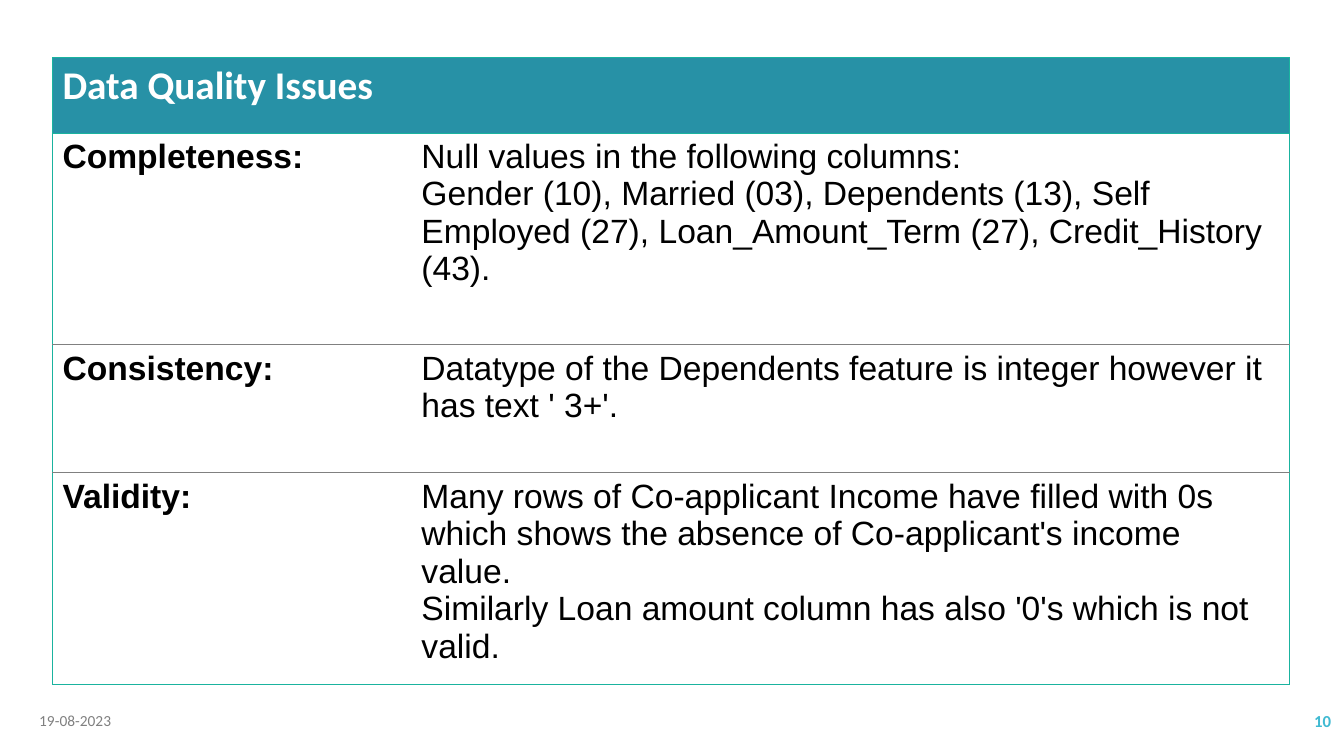
from dataclasses import dataclass

from lxml.etree import SubElement
from pptx import Presentation
from pptx.dml.color import RGBColor
from pptx.enum.text import MSO_ANCHOR as Anchor, PP_ALIGN as Align
from pptx.oxml.ns import qn
from pptx.slide import Slide
from pptx.table import Table, _Cell as Cell
from pptx.text.text import TextFrame
from pptx.util import Inches, Pt

TEAL = "1AB39F"
HEADER_FILL = "2791A6"
RULE_GREY = "808080"
COLUMN_WIDTHS = (3.56, 8.71)


@dataclass(frozen=True)
class TextStyle:
    font: str
    size: int
    color: str
    bold: bool = False
    align: Align = Align.LEFT


@dataclass(frozen=True)
class Issue:
    label: str
    details: str
    height: float


@dataclass(frozen=True)
class Footer:
    text: str
    left: float
    width: float
    style: TextStyle


HEADER_STYLE = TextStyle("Calibri", 28, "FFFFFF", bold=True)
LABEL_STYLE = TextStyle("Arial", 24, "000000", bold=True)
DETAIL_STYLE = TextStyle("Arial", 24, "000000")

ISSUES = (
    Issue("Data Quality Issues", "", 0.75),
    Issue(
        "Completeness:",
        "Null values in the following columns:\n"
        "Gender (10), Married (03), Dependents (13), Self Employed (27), "
        "Loan_Amount_Term (27), Credit_History (43).",
        2.1,
    ),
    Issue(
        "Consistency:",
        "Datatype of the Dependents feature is integer however it has text ' 3+'.",
        1.27,
    ),
    Issue(
        "Validity:",
        "Many rows of Co-applicant Income have filled with 0s which shows "
        "the absence of Co-applicant's income value.\n"
        "Similarly Loan amount column has also '0's which is not valid.",
        2.1,
    ),
)

FOOTERS = (
    Footer("19-08-2023", 0.29, 3, TextStyle("Calibri", 11, "808080")),
    Footer("10", 11.63, 1.67, TextStyle("Calibri", 12, "40BAD2", True, Align.RIGHT)),
)


def rgb(color: str) -> RGBColor:
    return RGBColor.from_string(color)


def write_text(frame: TextFrame, text: str, style: TextStyle) -> None:
    frame.text = text
    for para in frame.paragraphs:
        para.alignment = style.align
        para.font.name = style.font
        para.font.size = Pt(style.size)
        para.font.bold = style.bold
        para.font.color.rgb = rgb(style.color)


def set_border(cell: Cell, side: str, color: str | None) -> None:
    properties = cell._tc.get_or_add_tcPr()
    line = SubElement(properties, qn(f"a:ln{side}"), w=str(Pt(0.75)))
    if color is None:
        SubElement(line, qn("a:noFill"))
    else:
        fill = SubElement(line, qn("a:solidFill"))
        SubElement(fill, qn("a:srgbClr"), val=color)


def style_cell(table: Table, row: int, column: int) -> None:
    cell = table.cell(row, column)
    last_row = len(ISSUES) - 1
    inner_top = TEAL if row <= 1 else RULE_GREY
    inner_bottom = TEAL if row in (0, last_row) else RULE_GREY
    set_border(cell, "L", TEAL if column == 0 else None)
    set_border(cell, "R", TEAL if column == 1 else None)
    set_border(cell, "T", inner_top)
    set_border(cell, "B", inner_bottom)
    if row == 0:
        cell.fill.solid()
        cell.fill.fore_color.rgb = rgb(HEADER_FILL)
    else:
        cell.fill.background()


def add_issue_table(page: Slide) -> None:
    frame = page.shapes.add_table(
        len(ISSUES), len(COLUMN_WIDTHS), Inches(0.52), Inches(0.57),
        Inches(sum(COLUMN_WIDTHS)), Inches(sum(issue.height for issue in ISSUES)),
    )
    table = frame.table
    table.first_row = False
    table.horz_banding = False
    for column, width in enumerate(COLUMN_WIDTHS):
        table.columns[column].width = Inches(width)
    for row, issue in enumerate(ISSUES):
        table.rows[row].height = Inches(issue.height)
        label_style = HEADER_STYLE if row == 0 else LABEL_STYLE
        write_text(table.cell(row, 0).text_frame, issue.label, label_style)
        write_text(table.cell(row, 1).text_frame, issue.details, DETAIL_STYLE)
        for column in range(len(COLUMN_WIDTHS)):
            style_cell(table, row, column)


def add_footer(page: Slide, footer: Footer) -> None:
    box = page.shapes.add_textbox(
        Inches(footer.left), Inches(6.95), Inches(footer.width), Inches(0.4)
    )
    frame = box.text_frame
    frame.word_wrap = True
    frame.vertical_anchor = Anchor.MIDDLE
    write_text(frame, footer.text, footer.style)


def main() -> None:
    deck = Presentation()
    deck.slide_width = Inches(13.33)
    deck.slide_height = Inches(7.5)
    page = deck.slides.add_slide(deck.slide_layouts[6])
    add_issue_table(page)
    for footer in FOOTERS:
        add_footer(page, footer)
    deck.save("out.pptx")


if __name__ == "__main__":
    main()
